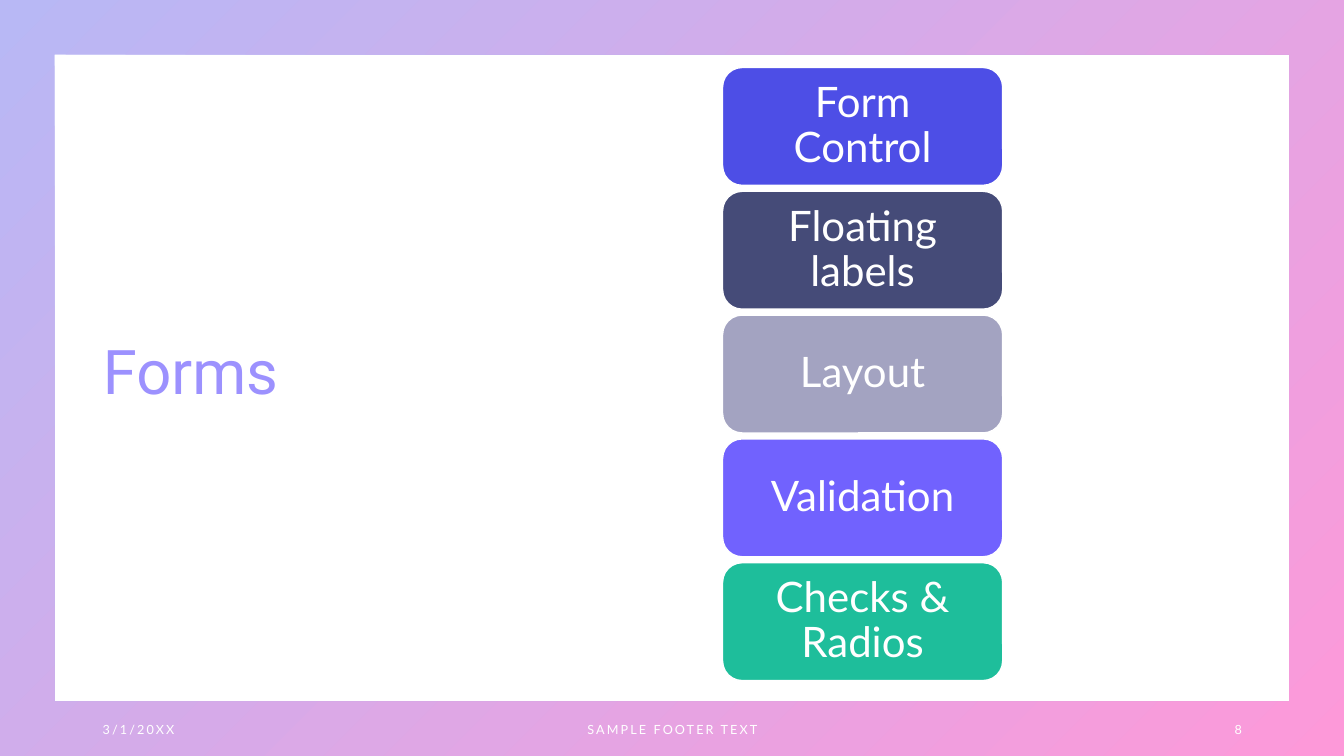
from dataclasses import dataclass

import pptx
import pptx.dml.color
import pptx.enum.shapes
import pptx.enum.text
import pptx.util

Cm = pptx.util.Cm
Align = pptx.enum.text.PP_ALIGN
Shapes = pptx.enum.shapes.MSO_SHAPE


@dataclass(frozen=True)
class Theme:
    """Colours, fonts and type sizes of the slide."""
    white: str = "FFFFFF"
    title: str = "9C91FE"
    frame: tuple = ("B8B8F5", "FD99D9")
    cards: tuple = ("4D4EE6", "454B78", "A3A3C1", "7162FE", "1EBE9B")
    title_font: str = "Roboto"
    body_font: str = "Lato"
    title_size: int = 44
    card_size: int = 30
    footer_size: int = 9


THEME = Theme()


def rgb(value):
    """Turn a hex string into a colour."""
    return pptx.dml.color.RGBColor.from_string(value)


def write(text_frame, text, font, size, colour, alignment):
    """Write one vertically centred paragraph and return it."""
    text_frame.text = text
    text_frame.word_wrap = True
    text_frame.auto_size = pptx.enum.text.MSO_AUTO_SIZE.NONE
    text_frame.vertical_anchor = pptx.enum.text.MSO_ANCHOR.MIDDLE
    paragraph = text_frame.paragraphs[0]
    paragraph.alignment = alignment
    run_font = paragraph.runs[0].font
    run_font.name = font
    run_font.size = pptx.util.Pt(size)
    run_font.color.rgb = rgb(colour)
    return paragraph


def add_frame(slide, left, top, width, height):
    """Draw the gradient frame around the box."""
    shape = slide.shapes.add_shape(Shapes.FRAME, left, top, width, height)
    shape.shadow.inherit = False
    shape.adjustments[0] = 0.072
    shape.line.fill.background()
    shape.fill.gradient()
    shape.fill.gradient_angle = 315
    for stop, colour in zip(shape.fill.gradient_stops, THEME.frame):
        stop.color.rgb = rgb(colour)


def add_title(slide, text, left, top, width, height):
    """Place and format the title placeholder in the box."""
    title = slide.shapes.title
    title.left, title.top, title.width, title.height = left, top, width, height
    paragraph = write(title.text_frame, text, THEME.title_font,
                      THEME.title_size, THEME.title, Align.LEFT)
    paragraph.line_spacing = 0.9


def add_cards(slide, labels, left, top, width, height):
    """Stack one rounded card per label, with gaps of 5% of a card."""
    gap_share = 0.05
    count = len(labels)
    card_height = height / (count + (count - 1) * gap_share)
    for index, (label, colour) in enumerate(zip(labels, THEME.cards)):
        card_top = top + index * card_height * (1 + gap_share)
        card = slide.shapes.add_shape(Shapes.ROUNDED_RECTANGLE, left,
                                      int(card_top), width, int(card_height))
        card.shadow.inherit = False
        card.fill.solid()
        card.fill.fore_color.rgb = rgb(colour)
        card.line.color.rgb = rgb(THEME.white)
        card.line.width = pptx.util.Pt(1)
        text_frame = card.text_frame
        text_frame.margin_left = text_frame.margin_right = Cm(0.35)
        text_frame.margin_top = text_frame.margin_bottom = Cm(0.15)
        paragraph = write(text_frame, label, THEME.body_font,
                          THEME.card_size, THEME.white, Align.CENTER)
        paragraph.line_spacing = 0.9


def add_footer(slide, date, text, number, left, top, width, height):
    """Set date, footer text and slide number across the box."""
    side, middle = Cm(7.62), Cm(11.43)
    parts = (
        (date, left, side, Align.LEFT),
        (text, left + (width - middle) // 2, middle, Align.CENTER),
        (number, left + width - side, side, Align.RIGHT),
    )
    for content, part_left, part_width, alignment in parts:
        box = slide.shapes.add_textbox(part_left, top, part_width, height)
        paragraph = write(box.text_frame, content, THEME.body_font,
                          THEME.footer_size, THEME.white, alignment)
        paragraph.runs[0].font._element.set("spc", "150")


def main():
    """Build the slide and save it."""
    presentation = pptx.Presentation()
    presentation.slide_width = Cm(33.87)
    presentation.slide_height = Cm(19.05)
    slide = presentation.slides.add_slide(presentation.slide_layouts[5])
    slide.background.fill.solid()
    slide.background.fill.fore_color.rgb = rgb(THEME.white)
    add_frame(slide, 0, 0, presentation.slide_width, presentation.slide_height)
    add_title(slide, "Forms", Cm(2.34), Cm(1.7), Cm(8.89), Cm(15.47))
    add_cards(slide, ("Form Control", "Floating labels", "Layout",
                      "Validation", "Checks & Radios"),
              Cm(18.21), Cm(1.7), Cm(7.06), Cm(15.45))
    add_footer(slide, "3/1/20XX", "SAMPLE FOOTER TEXT", "8",
               Cm(2.34), Cm(17.86), Cm(29.21), Cm(1.02))
    presentation.save("out.pptx")


if __name__ == "__main__":
    main()
